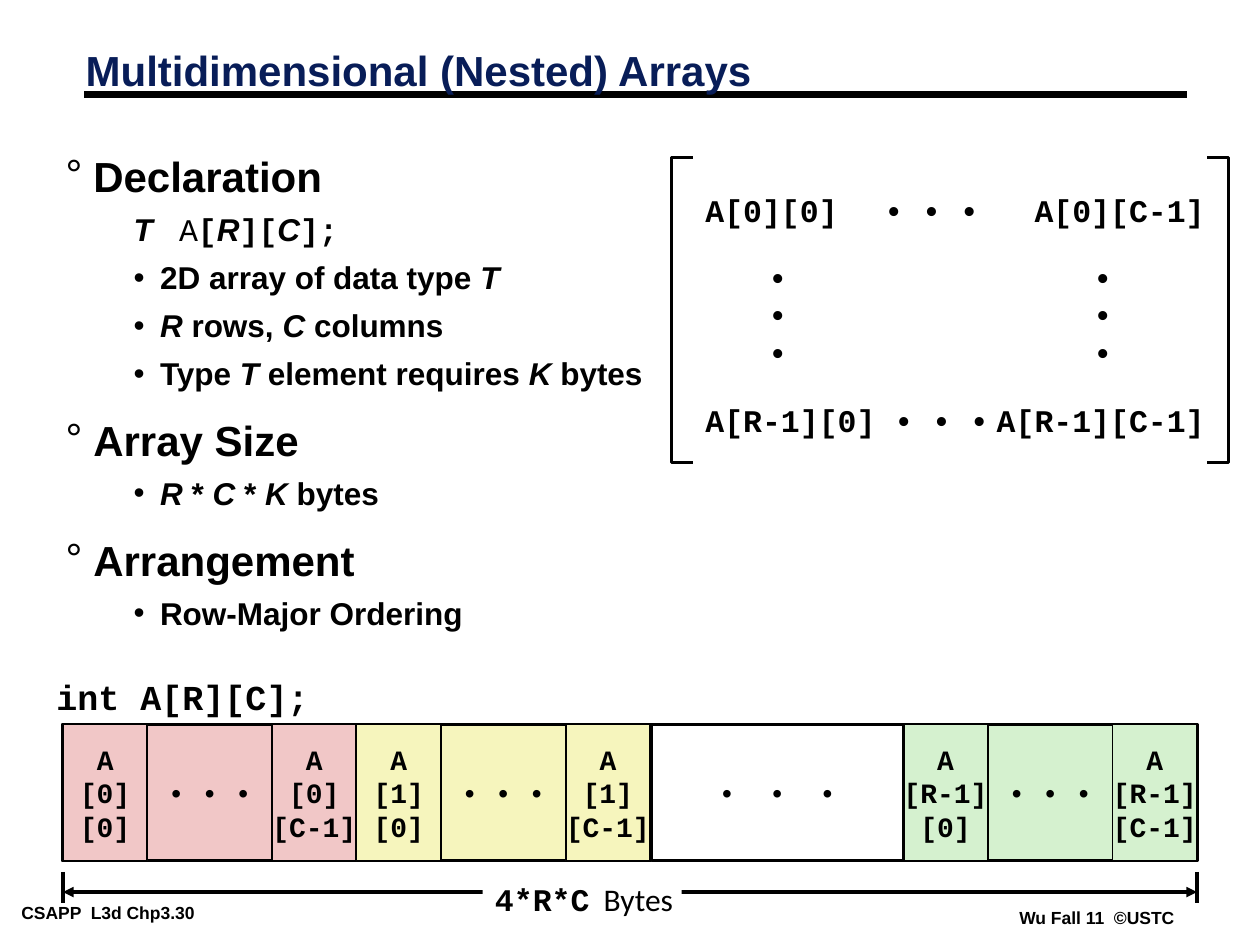
import dataclasses

import pptx
import pptx.dml.color
import pptx.enum.shapes
import pptx.enum.text
import pptx.oxml
import pptx.oxml.ns
import pptx.util
from pptx.util import Inches

ALIGN = pptx.enum.text.PP_ALIGN
ANCHOR = pptx.enum.text.MSO_ANCHOR


@dataclasses.dataclass(frozen=True)
class Theme:
    ink: str = "000000"
    paper: str = "FFFFFF"
    title: str = "081D58"
    first_row: str = "F1C7C7"
    second_row: str = "F6F5BD"
    last_row: str = "D5F1CF"
    sans: str = "Arial"
    mono: str = "Courier New"
    plain: str = "Calibri"
    heading_size: int = 24
    code_size: int = 20
    text_size: int = 18
    cell_size: int = 16
    footer_size: int = 10


THEME = Theme()


def color(value):
    return pptx.dml.color.RGBColor.from_string(value)


def drawing_element(markup):
    return pptx.oxml.parse_xml(markup.replace("/>", f" {pptx.oxml.ns.nsdecls('a')}/>", 1))


class SlideBuilder:
    def __init__(self, slide, theme):
        self.slide = slide
        self.theme = theme

    def run(self, paragraph, text, size, font=None, bold=True, italic=False, ink=None):
        run = paragraph.add_run()
        run.text = text
        run.font.name = font or self.theme.sans
        run.font.size = pptx.util.Pt(size)
        run.font.bold = bold
        run.font.italic = italic
        run.font.color.rgb = color(ink or self.theme.ink)

    def frame(self, shape, anchor, margins=(0.1, 0.05), wrap=False):
        frame = shape.text_frame
        frame.auto_size = pptx.enum.text.MSO_AUTO_SIZE.NONE
        frame.word_wrap = wrap
        frame.vertical_anchor = anchor
        frame.margin_left = frame.margin_right = Inches(margins[0])
        frame.margin_top = frame.margin_bottom = Inches(margins[1])
        return frame

    def place(self, shape, left, top, width, height):
        shape.left, shape.top = Inches(left), Inches(top)
        shape.width, shape.height = Inches(width), Inches(height)

    def title(self, text, bounds):
        heading = self.slide.shapes.title
        self.place(heading, *bounds)
        paragraph = self.frame(heading, ANCHOR.MIDDLE, wrap=True).paragraphs[0]
        paragraph.alignment = ALIGN.LEFT
        paragraph.line_spacing = 0.87
        self.run(paragraph, text, self.theme.heading_size, ink=self.theme.title)

    def outline(self, items, bounds):
        body = self.slide.placeholders[1]
        self.place(body, *bounds)
        frame = self.frame(body, ANCHOR.TOP, wrap=True)
        for index, (level, bullet, pieces) in enumerate(items):
            paragraph = frame.add_paragraph() if index else frame.paragraphs[0]
            paragraph.level = level
            properties = paragraph._p.get_or_add_pPr()
            properties.set("marL", str(Inches((0.22, 0.75)[level])))
            properties.set("indent", str(Inches((-0.22, -0.21)[level])))
            mark = f'<a:buChar char="{bullet}"/>' if bullet else "<a:buNone/>"
            properties.append(drawing_element(mark))
            paragraph.alignment = ALIGN.LEFT
            paragraph.line_spacing = (0.75, 0.85)[level]
            paragraph.space_before = pptx.util.Pt((19.5, 9)[level] if index else 0)
            size = (self.theme.heading_size, self.theme.text_size)[level]
            for text, style in pieces:
                self.run(paragraph, text, size, **style)

    def label(self, text, bounds, size, font=None, align=ALIGN.LEFT, margins=(0.1, 0.05)):
        box = self.slide.shapes.add_textbox(*map(Inches, bounds))
        paragraph = self.frame(box, ANCHOR.TOP, margins).paragraphs[0]
        paragraph.alignment = align
        self.run(paragraph, text, size, font)

    def block(self, lines, bounds, size, align=ALIGN.LEFT, fill=None, border=0, bold=True):
        kind = pptx.enum.shapes.MSO_SHAPE.RECTANGLE
        rectangle = self.slide.shapes.add_shape(kind, *map(Inches, bounds))
        rectangle.shadow.inherit = False
        rectangle.fill.solid()
        rectangle.fill.fore_color.rgb = color(fill or self.theme.paper)
        if border:
            rectangle.line.color.rgb = color(self.theme.ink)
            rectangle.line.width = pptx.util.Pt(border)
        else:
            rectangle.line.fill.background()
        frame = self.frame(rectangle, ANCHOR.MIDDLE)
        for index, text in enumerate(lines):
            paragraph = frame.add_paragraph() if index else frame.paragraphs[0]
            paragraph.alignment = align
            self.run(paragraph, text, size, self.theme.mono, bold)
        return rectangle

    def line(self, start, end, width=2, arrows=False, behind=False):
        kind = pptx.enum.shapes.MSO_CONNECTOR.STRAIGHT
        rule = self.slide.shapes.add_connector(kind, *map(Inches, start + end))
        rule.line.color.rgb = color(self.theme.ink)
        rule.line.width = pptx.util.Pt(width)
        if arrows:
            for side in ("headEnd", "tailEnd"):
                rule.line._get_or_add_ln().append(drawing_element(f'<a:{side} type="triangle"/>'))
        rule.element.spPr.append(drawing_element("<a:effectLst/>"))
        if behind:
            rule.element.getparent().insert(2, rule.element)

    def bracket(self, tip, spine, top, bottom):
        points = [(tip, top), (spine, top), (spine, bottom), (tip, bottom)]
        corners = [(Inches(x), Inches(y)) for x, y in points]
        builder = self.slide.shapes.build_freeform(*corners[0])
        builder.add_line_segments(corners[1:], close=False)
        edge = builder.convert_to_shape()
        edge.shadow.inherit = False
        edge.fill.background()
        edge.line.color.rgb = color(self.theme.ink)
        edge.line.width = pptx.util.Pt(2)


def main():
    deck = pptx.Presentation()
    deck.slide_width, deck.slide_height = Inches(10), Inches(7.5)
    page = SlideBuilder(deck.slides.add_slide(deck.slide_layouts[1]), THEME)

    page.line((0.67, 0.75), (9.42, 0.75), width=4.5, behind=True)
    page.title("Multidimensional (Nested) Arrays", (0.58, 0.36, 8.83, 0.45))
    footers = [("CSAPP  L3d Chp3.30", (0.1, 7.13, 2.03, 0.22)),
               ("Wu Fall 11  ©USTC", (8.02, 7.17, 1.38, 0.22))]
    for text, bounds in footers:
        page.label(text, bounds, THEME.footer_size, margins=(0.07, 0.03))

    upright, slanted = {}, {"italic": True}
    code = {"font": THEME.mono}
    page.outline([
        (0, "°", [("Declaration", upright)]),
        (1, "", [("T   ", slanted), ("A", {"font": THEME.mono, "bold": False}), ("[", code),
                 ("R", slanted), ("][", code), ("C", slanted), ("];", code)]),
        (1, "•", [("2D array of data type ", upright), ("T", slanted)]),
        (1, "•", [("R", slanted), (" rows, ", upright), ("C", slanted), (" columns", upright)]),
        (1, "•", [("Type ", upright), ("T", slanted), (" element requires ", upright),
                  ("K", slanted), (" bytes", upright)]),
        (0, "°", [("Array Size", upright)]),
        (1, "•", [("R", slanted), (" * ", upright), ("C ", slanted), ("* ", upright),
                  ("K ", slanted), ("bytes", upright)]),
        (0, "°", [("Arrangement", upright)]),
        (1, "•", [("Row-Major Ordering", upright)]),
    ], (0.42, 1.24, 4.85, 3.82))

    dots = "• • •"
    matrix_rows = [(1.42, "A[0][0]", 6.92, "A[0][C-1]"), (3.08, "A[R-1][0]", 7, "A[R-1][C-1]")]
    for top, first, dots_left, last in matrix_rows:
        page.block([first], (5.5, top, 1.33, 0.5), THEME.text_size)
        page.block([dots], (dots_left, top, 1, 0.5), THEME.text_size)
        page.block([last], (8.33, top, 1.33, 0.5), THEME.text_size, ALIGN.RIGHT)
    for left in (6, 8.58):
        page.block(dots.split(), (left, 2.08, 0.5, 0.83), THEME.text_size)
    for tip, spine in ((5.5, 5.33), (9.58, 9.75)):
        page.bracket(tip, spine, 1.25, 3.67)

    page.label("int A[R][C];", (0.35, 5.31, 2.2, 0.44), THEME.code_size, THEME.mono, ALIGN.RIGHT)
    top, height, cell_width, row_width = 5.75, 1.08, 0.67, 2.33
    memory_rows = [(0.5, "[0]", THEME.first_row), (2.83, "[1]", THEME.second_row),
                   (7.17, "[R-1]", THEME.last_row)]
    for left, row, fill in memory_rows:
        page.block([dots], (left, top, row_width, height), THEME.cell_size, ALIGN.CENTER,
                   fill, 2.25, bold=False)
        for offset, column in ((0, "[0]"), (row_width - cell_width, "[C-1]")):
            page.block(["A", row, column], (left + offset, top, cell_width, height),
                       THEME.cell_size, ALIGN.CENTER, fill, 1)
    page.block(["•  •  •"], (5.17, top, 2, height), THEME.cell_size, ALIGN.CENTER,
               border=2, bold=False)

    for edge in (0.5, 9.5):
        page.line((edge, 6.92), (edge, 7.17))
    page.line((0.5, 7.08), (9.5, 7.08), arrows=True)
    total = page.block(["4*R*C"], (3.83, 6.92, 1.58, 0.42), THEME.text_size)
    page.run(total.text_frame.paragraphs[0], "  Bytes", THEME.text_size, THEME.plain, bold=False)

    deck.save("out.pptx")


if __name__ == "__main__":
    main()
